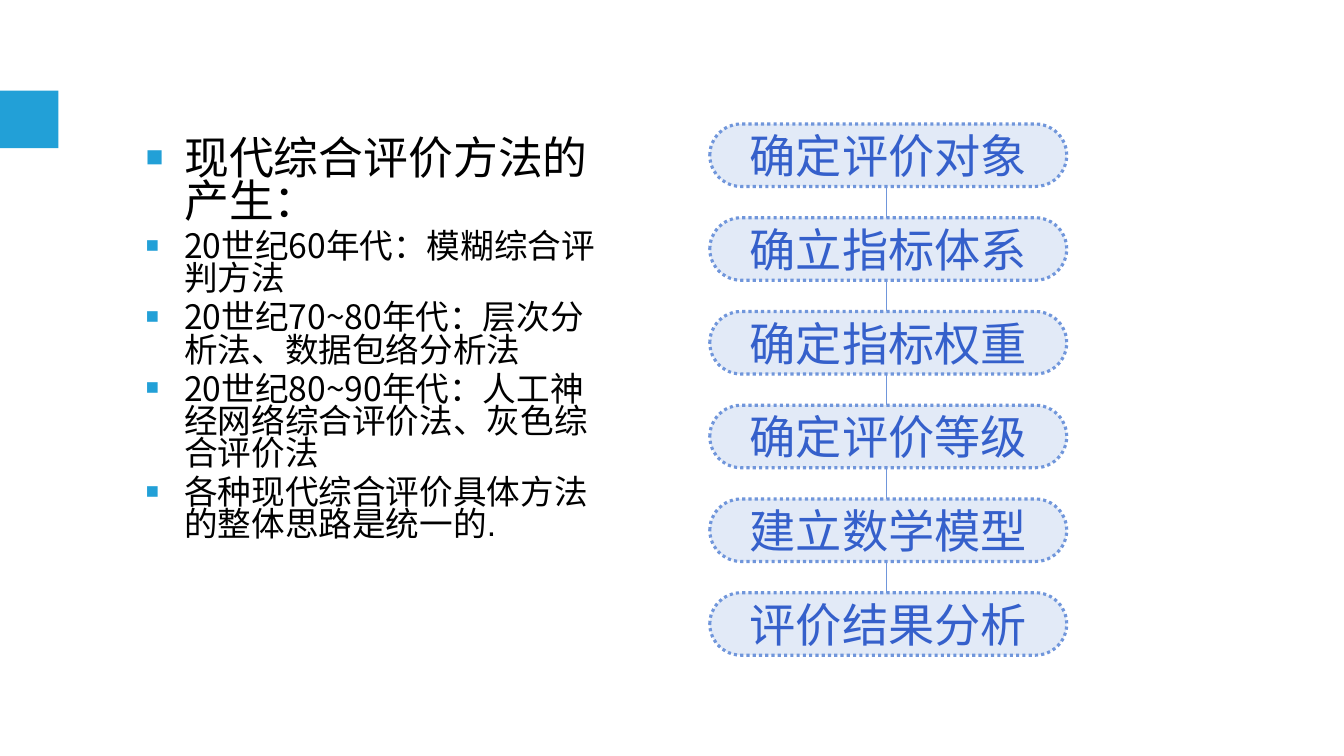
import pptx
import pptx.util
import pptx.dml.color
import pptx.enum.dml
import pptx.enum.shapes
import pptx.enum.text
import pptx.oxml
import pptx.oxml.ns

Inches = pptx.util.Inches
Pt = pptx.util.Pt
SHAPE = pptx.enum.shapes.MSO_SHAPE
qn = pptx.oxml.ns.qn

COLORS = {"accent": "22A0D7", "step": "7096DB", "step_text": "3560CB", "text": "000000"}
LATIN, CJK = "Arial", "Noto Sans CJK SC"

HISTORY = [
    ("现代综合评价方法的产生：", 32, LATIN),
    ("20世纪60年代：模糊综合评判方法", 24, CJK),
    ("20世纪70~80年代：层次分析法、数据包络分析法", 24, CJK),
    ("20世纪80~90年代：人工神经网络综合评价法、灰色综合评价法", 24, CJK),
    ("各种现代综合评价具体方法的整体思路是统一的.", 24, LATIN),
]
STEPS = ["确定评价对象", "确立指标体系", "确定指标权重",
         "确定评价等级", "建立数学模型", "评价结果分析"]
STEP_LEFT, STEP_TOP, STEP_WIDTH, STEP_HEIGHT, STEP_PITCH = 7.04, 1.23, 3.54, 0.62, 0.93
LINK_X = 8.79


def rgb(name):
    return pptx.dml.color.RGBColor.from_string(COLORS[name])


def add_xml(parent, tag, **attributes):
    child = pptx.oxml.parse_xml(f'<{tag} {pptx.oxml.ns.nsdecls("a")}/>')
    for key, value in attributes.items():
        child.set(key, str(value))
    parent.append(child)
    return child


class SlideBuilder:
    def __init__(self, slide):
        self.s = slide

    def style_run(self, r, size, font, color):
        r.font.size = Pt(size)
        r.font.name = font
        r.font.color.rgb = rgb(color)
        add_xml(r.font._element, "a:ea", typeface=CJK)

    def shape(self, kind, left, top, width, height, color):
        sp = self.s.shapes.add_shape(kind, Inches(left), Inches(top), Inches(width), Inches(height))
        sp.shadow.inherit = False
        sp.fill.solid()
        sp.fill.fore_color.rgb = rgb(color)
        sp.line.fill.background()
        return sp

    def step(self, text, top):
        """Add a translucent pill with a dotted outline."""
        sp = self.shape(SHAPE.ROUNDED_RECTANGLE, STEP_LEFT, top, STEP_WIDTH, STEP_HEIGHT, "step")
        sp.adjustments[0] = 0.5
        fill_color = sp._element.spPr.find(qn("a:solidFill"))[0]
        add_xml(fill_color, "a:alpha", val=20000)
        sp.line.color.rgb = rgb("step")
        sp.line.width = Pt(2.25)
        sp.line.dash_style = pptx.enum.dml.MSO_LINE.ROUND_DOT
        tf = sp.text_frame
        tf.text = text
        tf.vertical_anchor = pptx.enum.text.MSO_ANCHOR.MIDDLE
        tf.margin_top = tf.margin_bottom = 0
        p = tf.paragraphs[0]
        p.alignment = pptx.enum.text.PP_ALIGN.CENTER
        self.style_run(p.runs[0], 33, LATIN, "step_text")

    def link(self, top, bottom):
        line = self.s.shapes.add_connector(
            pptx.enum.shapes.MSO_CONNECTOR.STRAIGHT,
            Inches(LINK_X), Inches(bottom), Inches(LINK_X), Inches(top))
        line.line.color.rgb = rgb("step")
        line.line.width = Pt(0.75)
        add_xml(line._element.spPr, "a:effectLst")

    def bullets(self, items, left, top, width, height):
        box = self.s.shapes.add_textbox(Inches(left), Inches(top), Inches(width), Inches(height))
        tf = box.text_frame
        tf.word_wrap = True
        for i, (text, size, font) in enumerate(items):
            p = tf.paragraphs[0] if i == 0 else tf.add_paragraph()
            p.text = text
            p.line_spacing = 0.8
            p.space_before = Pt(size * 0.2)
            self.style_run(p.runs[0], size, font, "text")
            pPr = p._p.get_or_add_pPr()
            pPr.set("marL", str(Inches(0.38)))
            pPr.set("indent", str(Inches(-0.38)))
            add_xml(add_xml(pPr, "a:buClr"), "a:srgbClr", val=COLORS["accent"])
            add_xml(pPr, "a:buSzPct", val=65000)
            add_xml(pPr, "a:buFont", typeface=LATIN)
            add_xml(pPr, "a:buChar", char="■")


def main():
    prs = pptx.Presentation()
    prs.slide_width, prs.slide_height = Inches(13.33), Inches(7.5)
    slide = SlideBuilder(prs.slides.add_slide(prs.slide_layouts[6]))
    slide.shape(SHAPE.RECTANGLE, 0, 0.9, 0.58, 0.57, "accent")
    slide.bullets(HISTORY, 1.35, 1.34, 4.76, 5.04)
    for i, text in enumerate(STEPS):
        top = STEP_TOP + i * STEP_PITCH
        slide.step(text, top)
        if i:
            slide.link(top - STEP_PITCH + STEP_HEIGHT, top)
    prs.save("out.pptx")


if __name__ == "__main__":
    main()
